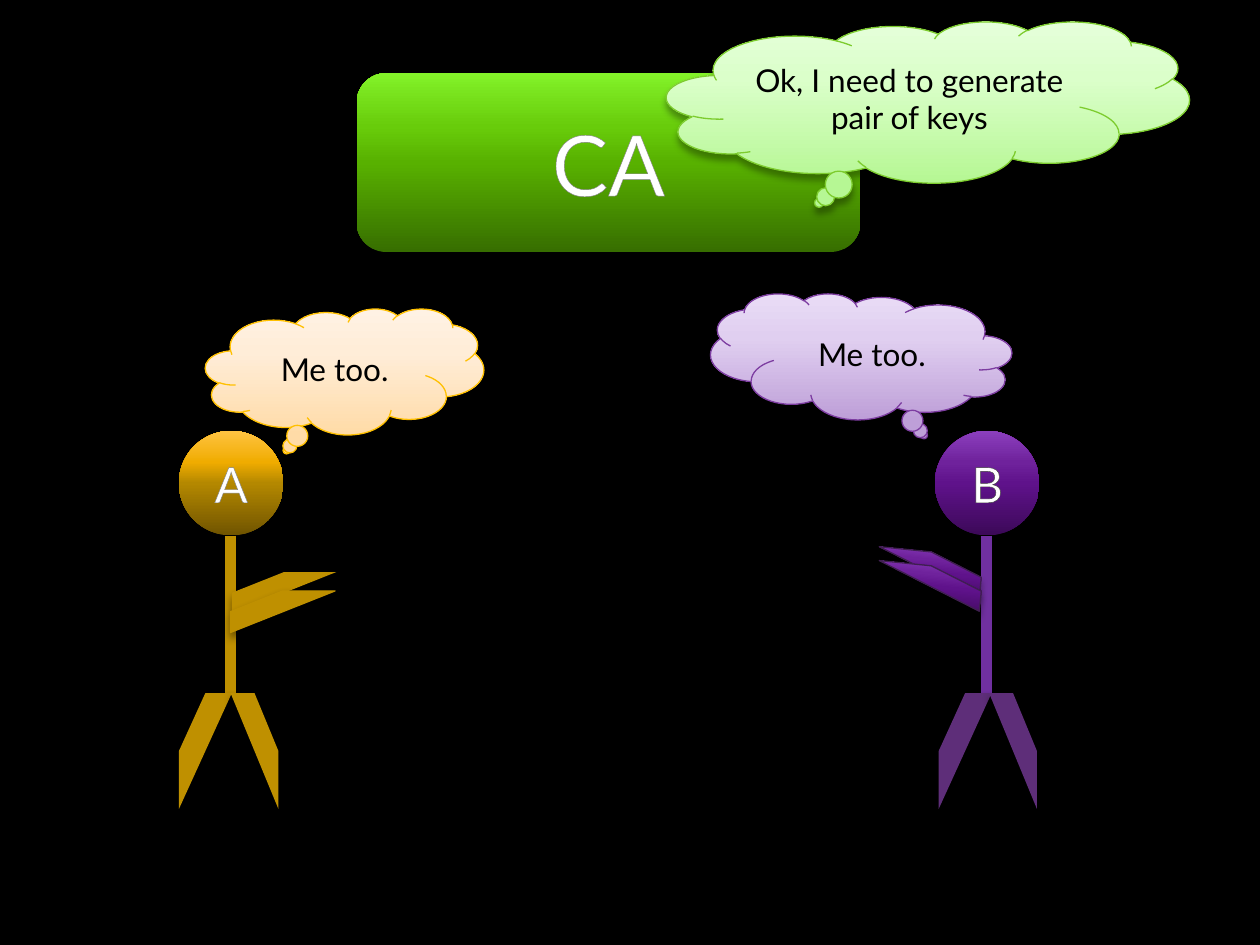
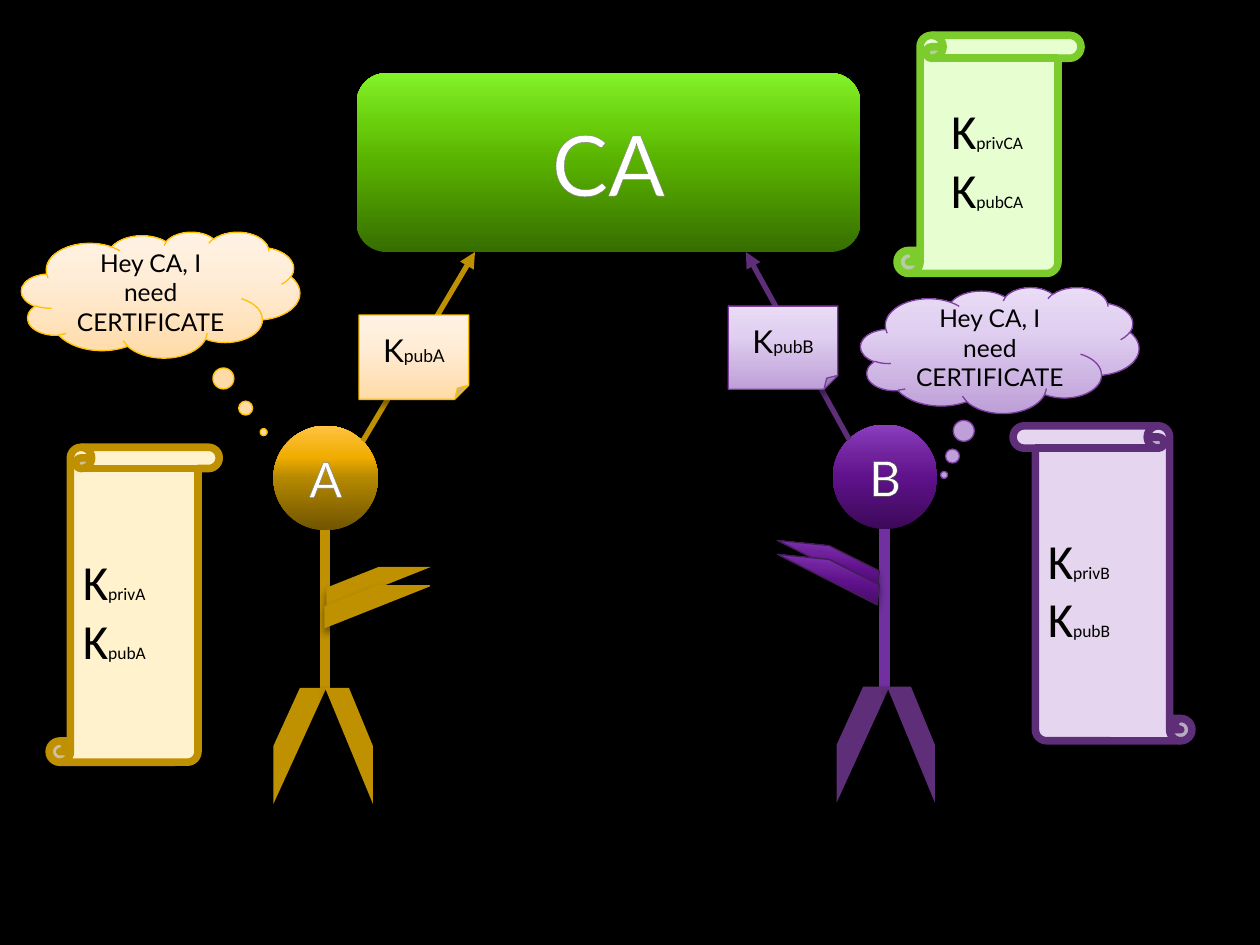
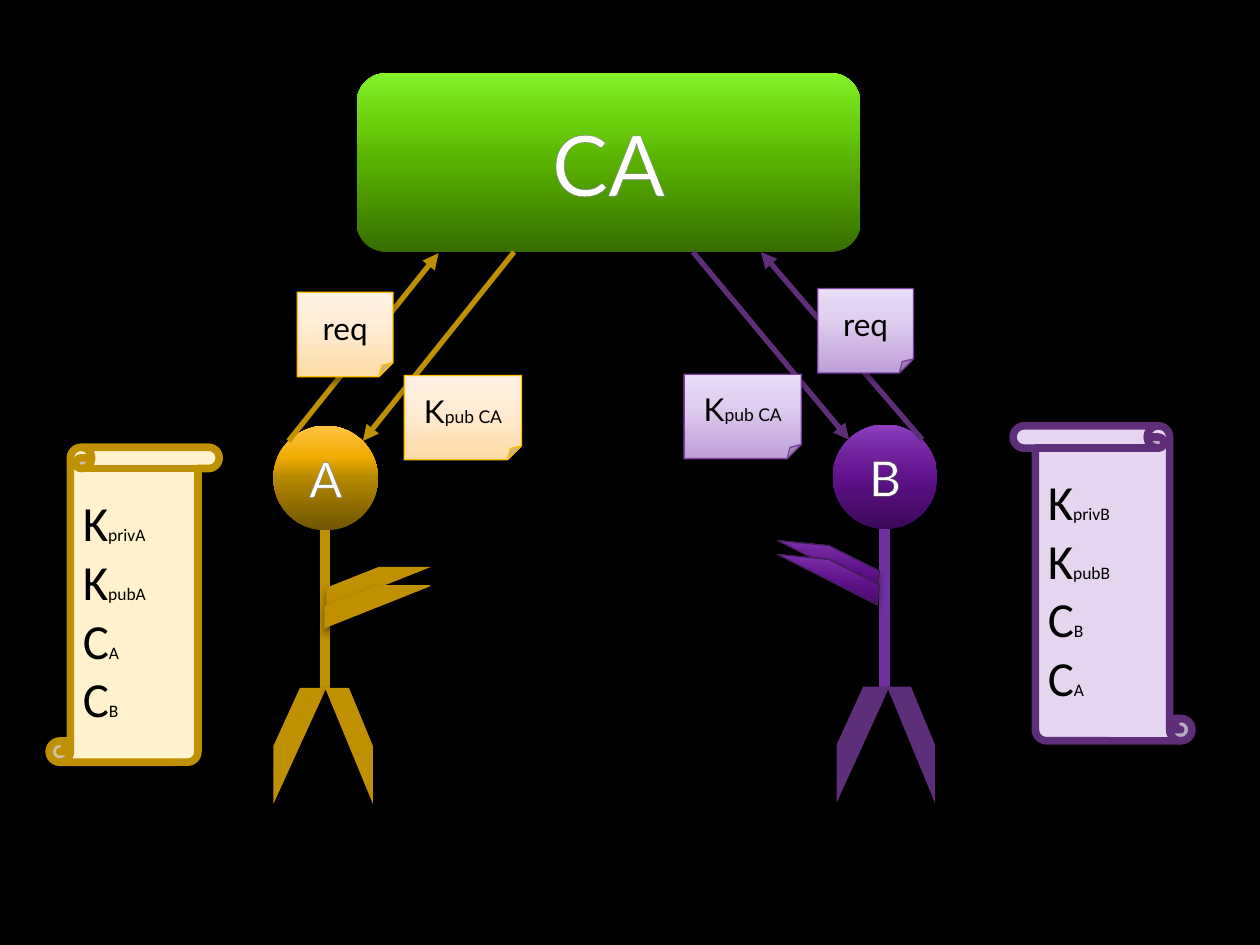
from lxml import etree
from pptx import Presentation
from pptx.dml.color import RGBColor
from pptx.enum.shapes import MSO_CONNECTOR, MSO_SHAPE
from pptx.enum.text import MSO_ANCHOR, MSO_AUTO_SIZE, PP_ALIGN
from pptx.oxml.ns import qn
from pptx.util import Inches, Pt

BLACK, WHITE, GRAY = "000000", "FFFFFF", "808080"
DEEP_SHADOW, SOFT_SHADOW = (45, 5), (35, 4)  # opacity in percent, blur in points
HEAD = 0.83
BODY_LENGTH = 1.25


def stops(positions, colors):
    """Pair gradient positions with colours."""
    return list(zip(positions, colors.split()))


def vivid(colors):
    """Return the four-stop gradient of solid objects."""
    return stops((0, 50, 70, 100), colors)


def pale(colors):
    """Return the three-stop gradient of clouds and notes."""
    return stops((0, 65, 100), colors)


# Each party's palette
THEMES = {
    "CA": dict(vivid=vivid("376E00 58B100 68CC0B 83F229"),
               pale=pale("B6F794 DBFFCA E5FFDA"),
               edge="7DCC2E", scroll="E7FFD0", scroll_edge="7DCC2E"),
    "A": dict(vivid=vivid("705400 B48800 F0AC00 FFC342"),
              pale=pale("FFDBA7 FFEDD8 FFF2E4"),
              edge="FFC000", scroll="FFF2CC", scroll_edge="BF9000",
              body="BF9000", limb="BF9000", outline=(GRAY, 0)),
    "B": dict(vivid=vivid("3C0958 5F128B 6F229C 8B3FBD"),
              pale=pale("BE9FD8 E0CFF0 E9DCF6"),
              edge="7D3DA1", scroll="E6D5EF", scroll_edge="5E2E79",
              body="7030A0", limb="5E2E79", outline=("404040", 0.75)),
}

# Limbs as (left, top, width, height), measured from the head's corner
LEGS = {"A": [(0, 2.08, 0.42, 0.92), (0.41, 2.08, 0.38, 0.92)],
        "B": [(0.03, 2.08, 0.42, 0.92), (0.43, 2.08, 0.38, 0.92)]}
ARMS = {"A": [(0.42, 1.12, 0.83, 0.33), (0.41, 1.27, 0.83, 0.33)],
        "B": [(-0.46, 0.96, 0.83, 0.32), (-0.46, 1.07, 0.83, 0.32)]}

CA_BOX = (2.83, 0.58, 4, 1.42)
NEAR = {"A": (2.17, 3.38), "B": (6.61, 3.37)}
SCROLL_BOXES = {"A": (0.39, 3.55, 1.35, 2.5), "B": (8.04, 3.38, 1.42, 2.5),
                "CA": (7.12, 0.28, 1.46, 1.89)}
CA_KEYS_BOX = (7.45, 0.75, 1.14, 1.04)
KEYS = {party: [("K", "priv" + party), ("K", "pub" + party)] for party in THEMES}
REQUEST = "Hey CA, I need CERTIFICATE"

# Clouds: party, box, text, size, pointer, mirrored
# Arrows: party, start, end      Notes: party, box, (text, subscript)
SLIDES = [
    dict(heads={"A": (1.42, 3.42), "B": (7.42, 3.42)},
         clouds=[("CA", (5.29, 0.17, 4.15, 1.28),
                  "Ok, I need to generate pair of keys", 18, None, False),
                 ("A", (1.63, 2.45, 2.21, 1), "Me too.", 18, None, False),
                 ("B", (5.64, 2.33, 2.39, 1), "Me too.", 18, None, True)]),
    dict(heads=NEAR,
         scrolls={party: KEYS[party] for party in ("CA", "A", "B")},
         clouds=[("A", (0.17, 1.84, 2.21, 1), REQUEST, 14, (0.37, 1.09), False),
                 ("B", (6.83, 2.28, 2.21, 1), REQUEST, 14, (-0.2, 0.99), False)],
         arrows=[("A", (2.88, 3.5), (3.77, 2)), ("B", (6.74, 3.49), (5.92, 2))],
         notes=[("A", (2.85, 2.5, 0.87, 0.67), ("K", "pubA")),
                ("B", (5.78, 2.43, 0.87, 0.66), ("K", "pubB"))]),
    dict(heads=NEAR,
         scrolls={"A": KEYS["A"] + [("C", "A"), ("C", "B")],
                  "B": KEYS["B"] + [("C", "B"), ("C", "A")]},
         arrows=[("A", (4.08, 2), (2.88, 3.5)), ("B", (5.5, 2), (6.74, 3.49)),
                 ("A", (2.29, 3.5), (3.48, 2.01)), ("B", (7.32, 3.49), (6.04, 2))],
         notes=[("A", (2.36, 2.32, 0.76, 0.67), ("req", "")),
                ("B", (6.49, 2.29, 0.76, 0.67), ("req", "")),
                ("A", (3.21, 2.98, 0.93, 0.67), ("K", "pub CA")),
                ("B", (5.43, 2.97, 0.93, 0.67), ("K", "pub CA"))]),
]


def rgb(color):
    """Turn a hex string into a colour."""
    return RGBColor.from_string(color)


def child(parent, tag, **attributes):
    """Append a DrawingML element."""
    element = etree.SubElement(parent, qn("a:" + tag))
    for name, value in attributes.items():
        element.set(name, str(value))
    return element


def paint(shape, fill):
    """Fill with a hex colour, or with gradient stops from bottom to top."""
    if isinstance(fill, str):
        shape.fill.solid()
        shape.fill.fore_color.rgb = rgb(fill)
        return
    shape.fill.gradient()
    shape.fill.gradient_angle = 90
    stop_list = next(shape._element.spPr.iter(qn("a:gsLst")))
    for old_stop in list(stop_list):
        stop_list.remove(old_stop)
    for position, color in fill:
        child(child(stop_list, "gs", pos=position * 1000), "srgbClr", val=color)


def cast_shadow(shape, shadow):
    """Replace the theme's shadow by a downward one, or by none."""
    shape.shadow.inherit = False
    if shadow:
        opacity, blur = shadow
        effects = shape._element.spPr.find(qn("a:effectLst"))
        outer = child(effects, "outerShdw", blurRad=Pt(blur), dist=Pt(3),
                      dir=90 * 60000, rotWithShape=0)
        color = child(outer, "srgbClr", val=BLACK)
        child(color, "alpha", val=opacity * 1000)


def draw(page, kind, box, fill, line=None, shadow=None, flip=None):
    """Add a preset shape; line is (colour, points), flip is H or V."""
    shape = page.shapes.add_shape(kind, *map(Inches, box))
    paint(shape, fill)
    if line:
        shape.line.color.rgb = rgb(line[0])
        shape.line.width = Pt(line[1])
    else:
        shape.line.fill.background()
    cast_shadow(shape, shadow)
    if flip:
        shape._element.spPr.find(qn("a:xfrm")).set("flip" + flip, "1")
    return shape


def write(shape, lines, size, color=BLACK, font="Lato",
          align=PP_ALIGN.CENTER, outline=None):
    """Write (text, small subscript) lines into a shape."""
    frame = shape.text_frame
    frame.word_wrap = True
    for number, (text, subscript) in enumerate(lines):
        para = frame.add_paragraph() if number else frame.paragraphs[0]
        para.alignment = align
        para.font.name = font
        para.font.size = Pt(size)
        para.font.color.rgb = rgb(color)
        span = para.add_run()
        span.text = text
        if outline:
            edge = child(span._r.get_or_add_rPr(), "ln", w=Pt(outline[1]))
            child(child(edge, "solidFill"), "srgbClr", val=outline[0])
        if subscript:
            small = para.add_run()
            small.text = subscript
            small.font.size = Pt(10)


def connect(page, start, end, color, width, arrow=False):
    """Draw a straight line, with an arrowhead at its end if asked."""
    line = page.shapes.add_connector(MSO_CONNECTOR.STRAIGHT,
                                     *map(Inches, (*start, *end)))
    line.line.color.rgb = rgb(color)
    line.line.width = Pt(width)
    if arrow:
        child(line.line._get_or_add_ln(), "tailEnd", type="triangle")
    child(line._element.spPr, "effectLst")


def draw_figure(page, party, left, top):
    """Draw a stick figure from its head's corner."""
    theme = THEMES[party]
    head = draw(page, MSO_SHAPE.OVAL, (left, top, HEAD, HEAD), theme["vivid"],
                shadow=DEEP_SHADOW)
    write(head, [(party, "")], 28, WHITE, outline=theme["outline"])
    middle, neck = left + 0.41, top + HEAD
    connect(page, (middle, neck), (middle, neck + BODY_LENGTH), theme["body"], 6)
    for number, (x, y, width, height) in enumerate(ARMS[party]):
        box = (left + x, top + y, width, height)
        if party == "A":
            edge = (theme["limb"], 0.75) if number else None
            draw(page, MSO_SHAPE.DIAGONAL_STRIPE, box, theme["limb"], edge, DEEP_SHADOW)
        else:
            arm = draw(page, MSO_SHAPE.DIAGONAL_STRIPE, box, theme["vivid"],
                       ("3F1F50", 0.75), SOFT_SHADOW, "V")
            arm.rotation = 185.8
    for (x, y, width, height), flip in zip(LEGS[party], (None, "H")):
        draw(page, MSO_SHAPE.DIAGONAL_STRIPE, (left + x, top + y, width, height),
             theme["limb"], None, DEEP_SHADOW, flip)


def draw_scroll(page, party, keys):
    """Draw a party's scroll with its keys and certificates."""
    theme = THEMES[party]
    holder = draw(page, MSO_SHAPE.VERTICAL_SCROLL, SCROLL_BOXES[party], theme["scroll"],
                  (theme["scroll_edge"], 4.33), flip="H" if party == "B" else None)
    if party == "CA":
        holder = page.shapes.add_textbox(*map(Inches, CA_KEYS_BOX))
        holder.text_frame.auto_size = MSO_AUTO_SIZE.SHAPE_TO_FIT_TEXT
    else:
        holder.text_frame.vertical_anchor = MSO_ANCHOR.MIDDLE
    write(holder, keys, 28, font="Calibri", align=PP_ALIGN.LEFT)


def draw_pale(page, kind, party, box, flip=None):
    """Draw a cloud or note in the party's pale gradient."""
    theme = THEMES[party]
    return draw(page, kind, box, theme["pale"], (theme["edge"], 0.75),
                SOFT_SHADOW, flip)


def build_slide(deck, content):
    """Build one slide, from back to front."""
    page = deck.slides.add_slide(deck.slide_layouts[6])
    for party, corner in content["heads"].items():
        draw_figure(page, party, *corner)
    authority = draw(page, MSO_SHAPE.ROUNDED_RECTANGLE, CA_BOX,
                     THEMES["CA"]["vivid"], shadow=DEEP_SHADOW)
    write(authority, [("CA", "")], 48, WHITE, outline=(GRAY, 0))
    for party, keys in content.get("scrolls", {}).items():
        draw_scroll(page, party, keys)
    for party, box, text, size, pointer, mirrored in content.get("clouds", []):
        cloud = draw_pale(page, MSO_SHAPE.CLOUD_CALLOUT, party, box,
                          "H" if mirrored else None)
        if pointer:
            cloud.adjustments[0], cloud.adjustments[1] = pointer
        write(cloud, [(text, "")], size, outline=(BLACK, 0))
    for party, start, end in content.get("arrows", []):
        connect(page, start, end, THEMES[party]["limb"], 3, arrow=True)
    for party, box, label in content.get("notes", []):
        note = draw_pale(page, MSO_SHAPE.FOLDED_CORNER, party, box)
        write(note, [label], 18)


deck = Presentation()
deck.slide_width, deck.slide_height = Inches(10), Inches(7.5)
backdrop = deck.slide_master.background.fill
backdrop.solid()
backdrop.fore_color.rgb = rgb(BLACK)
for content in SLIDES:
    build_slide(deck, content)
deck.save("out.pptx")
